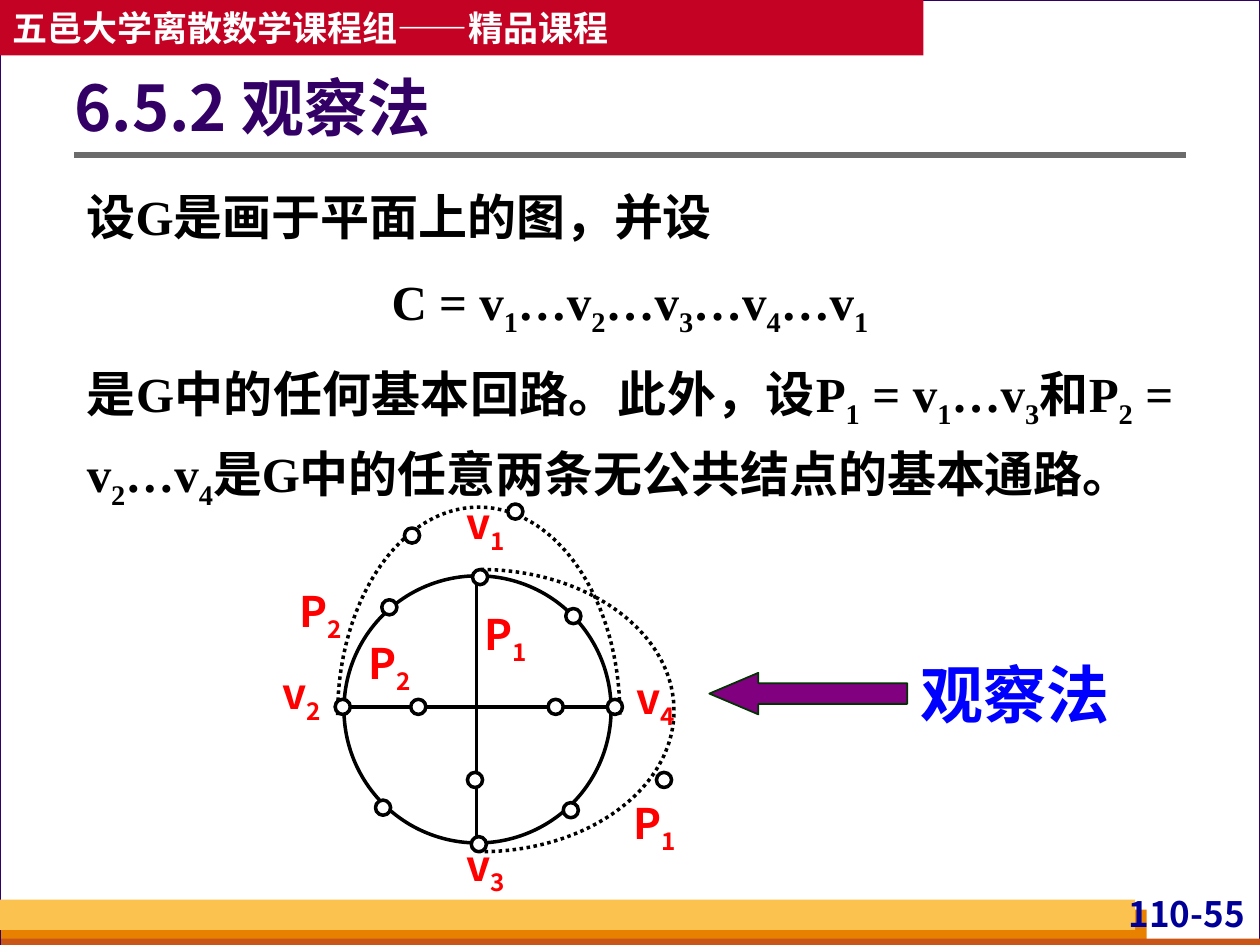
from lxml.etree import SubElement
from pptx import Presentation
from pptx.dml.color import RGBColor
from pptx.enum.dml import MSO_LINE_DASH_STYLE as Dash
from pptx.enum.shapes import MSO_CONNECTOR as Link, MSO_SHAPE as Kind
from pptx.enum.text import MSO_ANCHOR as Anchor, PP_ALIGN as Align
from pptx.oxml.ns import qn
from pptx.util import Inches, Pt

COLS, ROWS = 100, 75  # grid cells across and down the slide
WIDE, HIGH = Inches(10), Inches(7.5)
SANS, SERIF = "Noto Sans CJK SC", "Times New Roman"
HUES = {
    "back": "D8DADA", "white": "FFFFFF", "black": "000000",
    "purple": "330066", "crimson": "C30224", "orange": "E88000",
    "rust": "C95616", "gold": "FCC24F", "navy": "000099",
    "grey": "6B6B6B", "red": "FF0000", "blue": "0000FF",
    "arrow": "800080", "edge": "003300",
}
RING = (27.3, 45.7, 21.2, 21.2)
HUB = (37.8, 56.1)
DOT = 1.2
# An arc angle of 90 degrees is 54 in adjustment units.
LOOPS = [((22.8, 45.2, 30.7, 22.4), (162, 54)),
         ((26.8, 40.25, 22.4, 33), (108, 0))]
NODES = [(38.1, 45.8), (45.5, 48.9), (48.8, 56.1), (45.3, 64.3),
         (27.2, 56.1), (30.4, 64.1), (38, 67), (30.9, 48.2),
         (33.2, 56.1), (44.1, 56.1), (37.7, 61.9), (52.7, 61.9),
         (32.7, 42.5), (40.9, 40.6)]
LABELS = [("v_1", 36.2, 39.5), ("v_3", 36.2, 66.6), ("v_4", 49.7, 53.4),
          ("v_2", 21.6, 53), ("P_2", 28.6, 50.6), ("P_1", 37.8, 48.3),
          ("P_2", 23.1, 46.5), ("P_1", 49.6, 63.3)]
BODY = [
    ("设G是画于平面上的图，并设", Align.JUSTIFY),
    ("C = v_1…v_2…v_3…v_4…v_1", Align.CENTER),
    ("是G中的任何基本回路。此外，设P_1 = v_1…v_3和P_2 = v_2…v_4"
     "是G中的任意两条无公共结点的基本通路。", Align.JUSTIFY),
]


def hue(name):
    return RGBColor.from_string(HUES[name])


def cells(x, y, w, h):
    """Turn grid cells into slide lengths."""
    return [round(v) for v in (x * WIDE / COLS, y * HIGH / ROWS,
                               w * WIDE / COLS, h * HIGH / ROWS)]


def style(item, values):
    for name, value in values.items():
        setattr(item, name, value)


def add_run(para, text, size, color, face, low=False):
    run = para.add_run()
    run.text = text
    style(run.font, {"size": Pt(size), "bold": True, "name": face})
    run.font.color.rgb = hue(color)
    props = run._r.get_or_add_rPr()
    SubElement(props, qn("a:ea")).set("typeface", SANS)
    if low:
        props.set("baseline", "-25000")


def write(para, text, size, color, face=SANS, **form):
    """Fill a paragraph; the sign after each underscore is a subscript."""
    style(para, form)
    head, *rest = text.split("_")
    add_run(para, head, size, color, face)
    for part in rest:
        add_run(para, part[0], size, color, face, True)
        if part[1:]:
            add_run(para, part[1:], size, color, face)


def frame(shape, pads=(0.1, 0.05, 0.1, 0.05), anchor=Anchor.TOP):
    """Set up a text frame and return its first paragraph."""
    text = shape.text_frame
    sides = ("left", "top", "right", "bottom")
    style(text, {f"margin_{s}": Inches(p) for s, p in zip(sides, pads)})
    style(text, {"word_wrap": True, "vertical_anchor": anchor})
    return text.paragraphs[0]


def add_form(slide, kind, area, fill=None, line=None, width=2, adjust=()):
    form = slide.shapes.add_shape(kind, *cells(*area))
    form.shadow.inherit = False
    for i, value in enumerate(adjust):
        form.adjustments[i] = value
    if fill:
        form.fill.solid()
        form.fill.fore_color.rgb = hue(fill)
    else:
        form.fill.background()
    if line:
        form.line.color.rgb = hue(line)
        form.line.width = Pt(width)
    else:
        form.line.fill.background()
    return form


def add_line(slide, start, end, color, width):
    x1, y1, x2, y2 = cells(*start, *end)
    line = slide.shapes.add_connector(Link.STRAIGHT, x1, y1, x2, y2)
    line.line.color.rgb = hue(color)
    line.line.width = Pt(width)
    SubElement(line._element.spPr, qn("a:effectLst"))


def add_text(slide, area, text, size, color, align, **box):
    shape = slide.shapes.add_textbox(*cells(*area))
    write(frame(shape, **box), text, size, color, alignment=align)


def add_frame(slide):
    """Draw the page edge, the banner, the footer bands and the rule."""
    add_form(slide, Kind.RECTANGLE, (0, 0, COLS, ROWS), "white", "purple", 0.75)
    bar = add_form(slide, Kind.RECTANGLE, (0, 0, 73.3, 4.4), "crimson")
    write(frame(bar, anchor=Anchor.MIDDLE), "五邑大学离散数学课程组——精品课程",
          20, "white", alignment=Align.LEFT)
    for area, color in [((0.1, 72.2, 90.9, 2.8), "orange"),
                        ((0.1, 74.5, 99.9, 0.5), "rust"),
                        ((0, 71.4, 90.1, 2.4), "gold")]:
        add_form(slide, Kind.RECTANGLE, area, color)
    add_text(slide, (87, 70.8, 12.2, 3.3), "110-55", 20, "navy",
             Align.RIGHT, pads=(0.04, 0, 0.04, 0))
    add_line(slide, (5.9, 12.3), (94.1, 12.3), "grey", 3)


def add_title(slide):
    title = slide.shapes.title
    slide.shapes._spTree.append(title._element)  # in front of the page
    area = cells(5.9, 3.8, 88.2, 10.1)
    style(title, dict(zip(("left", "top", "width", "height"), area)))
    para = frame(title, (0, 0.05, 0.1, 0.05), Anchor.MIDDLE)
    write(para, "6.5.2 观察法", 36, "purple", alignment=Align.LEFT,
          line_spacing=0.9)


def add_body(slide):
    box = slide.shapes.add_textbox(*cells(5.9, 13.4, 88.2, 33.3))
    para = frame(box)
    for i, (text, align) in enumerate(BODY):
        if i:
            para = box.text_frame.add_paragraph()
        write(para, text, 28, "black", SERIF, alignment=align,
              line_spacing=1.2, space_before=Pt(7 if i else 0))


def add_graph(slide):
    for area, span in LOOPS:
        loop = add_form(slide, Kind.ARC, area, line="black", adjust=span)
        loop.line.dash_style = Dash.ROUND_DOT
    add_form(slide, Kind.OVAL, RING, "white", "black")
    x, y, w, h = RING
    add_line(slide, (HUB[0], y), (HUB[0], y + h), "black", 2)
    add_line(slide, (x, HUB[1]), (x + w, HUB[1]), "black", 2)
    for x, y in NODES:
        area = (x - DOT / 2, y - DOT / 2, DOT, DOT)
        add_form(slide, Kind.OVAL, area, "white", "black")
    for text, x, y in LABELS:
        add_text(slide, (x, y, 4.7, 4.6), text, 24, "red", Align.CENTER,
                 pads=(0, 0, 0, 0))


def add_note(slide):
    add_text(slide, (72.1, 51.5, 19.5, 7), "观察法", 36, "blue",
             Align.LEFT, anchor=Anchor.MIDDLE)
    add_form(slide, Kind.LEFT_ARROW, (56.3, 53.4, 15.7, 3.3), "arrow",
             "edge", 1, (0.5, 1.18))


def main():
    deck = Presentation()
    style(deck, {"slide_width": WIDE, "slide_height": HIGH})
    slide = deck.slides.add_slide(deck.slide_layouts[5])
    slide.background.fill.solid()
    slide.background.fill.fore_color.rgb = hue("back")
    for part in (add_frame, add_title, add_body, add_graph, add_note):
        part(slide)
    deck.save("out.pptx")


if __name__ == "__main__":
    main()
